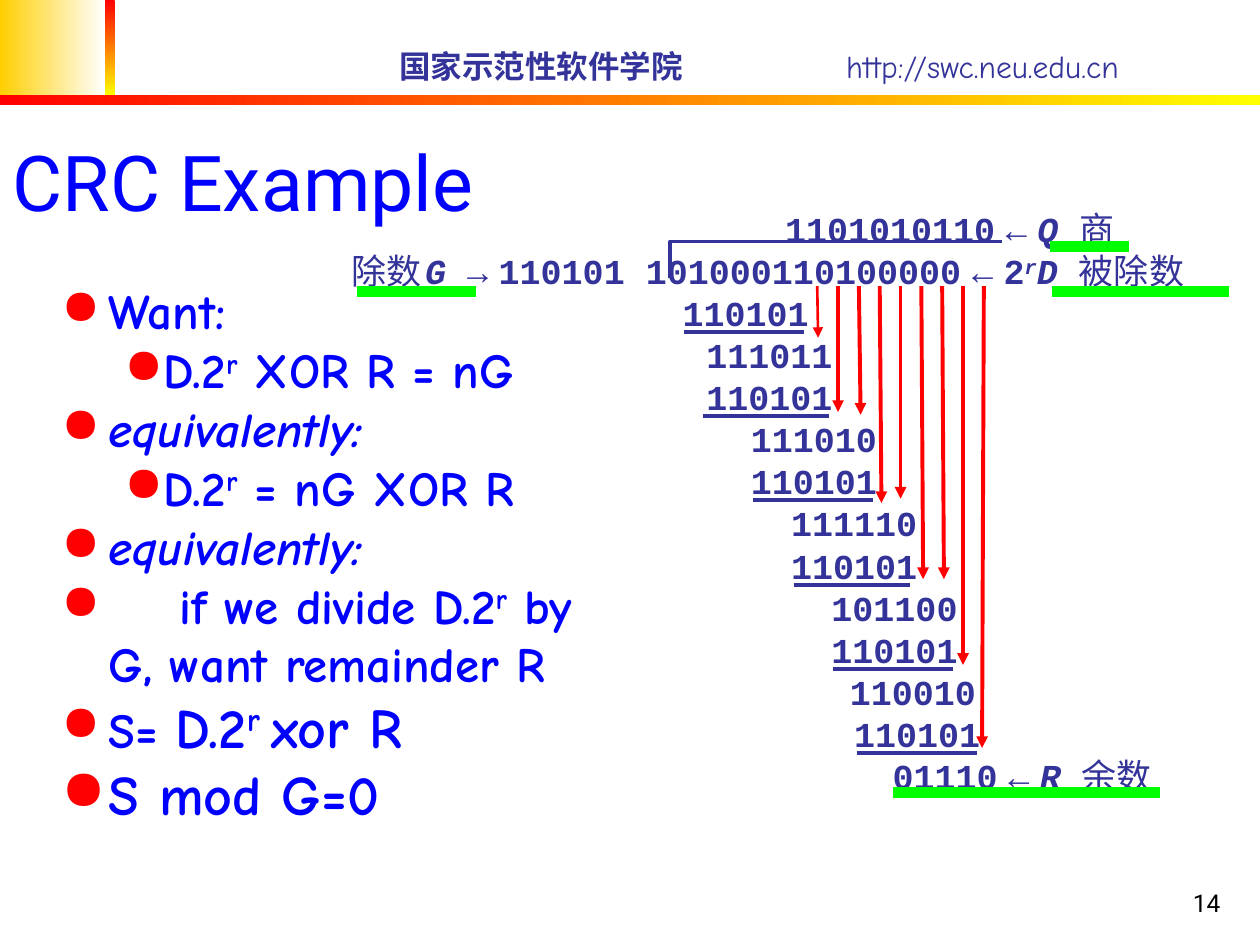
from lxml import etree
from pptx import Presentation
from pptx.dml.color import RGBColor
from pptx.enum import shapes, text
from pptx.oxml import ns
from pptx.util import Pt

NAVY, BLUE, RED, GREEN, YELLOW = "333399", "0000FF", "FF0000", "00FF00", "FFFF00"


def color(hex_value):
    return RGBColor.from_string(hex_value)


def add_runs(paragraph, runs, base):
    """Add (text, changes) runs, each formatted with base plus its changes."""
    for words, changes in runs:
        run = paragraph.add_run()
        run.text = words
        style = {**base, **changes}
        run.font.color.rgb = color(style.pop("color"))
        if style.pop("raised", False):
            run._r.get_or_add_rPr().set("baseline", "30000")
        for name, value in style.items():
            setattr(run.font, name, value)


presentation = Presentation()
presentation.slide_width, presentation.slide_height = Pt(720), Pt(540)
slide = presentation.slides.add_slide(presentation.slide_layouts[5])

# Gradient bands of the header
for left, top, width, height, start, end, angle in [
    (0, 0, 60, 55, "FFCF01", "FFFFFF", 0),
    (60, 0, 5.5, 55, RED, YELLOW, 270),
    (0, 54.5, 720, 5.5, RED, YELLOW, 0),
]:
    band = slide.shapes.add_shape(
        shapes.MSO_SHAPE.RECTANGLE, Pt(left), Pt(top), Pt(width), Pt(height))
    band.shadow.inherit = False
    band.line.fill.background()
    band.fill.gradient()
    band.fill.gradient_angle = angle
    for stop, stop_color in zip(band.fill.gradient_stops, (start, end)):
        stop.color.rgb = color(stop_color)

title = slide.shapes.title
title.left, title.top, title.width, title.height = Pt(0), Pt(42.5), Pt(613.5), Pt(90.5)
title.text_frame.vertical_anchor = text.MSO_ANCHOR.BOTTOM
title_paragraph = title.text_frame.paragraphs[0]
title_paragraph.alignment = text.PP_ALIGN.LEFT
add_runs(title_paragraph, [("CRC Example", {})],
         {"size": Pt(44), "name": "Roboto", "color": BLUE})

# Long division: (divisor indent, underline from, underline to, remainder, its indent)
steps = [
    (193.5, 391, 459.5, "111011", 207),
    (207, 402, 474, "111010", 232.5),
    (232.5, 430.5, 499, "111110", 255.5),
    (255.5, 453.5, 520, "101100", 278.5),
    (278.5, 476, 544.5, "110010", 289),
    (291.5, 489.5, 558, "01110", 313.5),
]
small, italic, raised = {"size": Pt(10)}, {"italic": True}, {"raised": True}
plain = {"bold": False}
left_arrow = [(" ", small), ("←", {}), (" ", small)]
division = [
    ([("1101010110", {}), *left_arrow, ("Q ", italic), ("商", plain)], {"marL": 252}),
    ([("除数", plain), (" ", small), ("G ", italic), ("→", {}), (" ", small),
      ("110101 101000110100000", {}), *left_arrow, ("2", {}),
      ("r", {**italic, **raised}), ("D ", italic), ("被除数", plain)], {"marL": 4}),
]
for divisor_indent, _, _, remainder, remainder_indent in steps:
    division.append(([("110101", {})], {"marL": divisor_indent}))
    division.append(([(remainder, {})], {"marL": remainder_indent}))
division[-1][0].extend([*left_arrow, ("R ", italic), ("余数", plain)])

outer = {"marL": 27, "indent": -27, "bullet": True}
inner = {"marL": 58.5, "indent": -22.5, "bullet": True}
large = {"size": Pt(32)}
points = [
    ([("Want:", {})], outer),
    ([("D.2", {}), ("r", raised), (" XOR R = nG", {})], inner),
    ([("equivalently:", italic)], outer),
    ([("D.2", {}), ("r", raised), (" = nG XOR R", {})], inner),
    ([("equivalently:", italic)], outer),
    ([("\tif we divide D.2", {}), ("r", raised), (" by G, want remainder R", {})],
     {**outer, "tab": 67.5}),
    ([("S= ", {}), ("D.2", large), ("r ", {**large, **raised}), ("xor R", large)], outer),
    ([("S mod G=0", large)], outer),
]

header = {"size": Pt(18), "name": "Comic Neue", "color": NAVY}
top, middle, bottom = text.MSO_ANCHOR.TOP, text.MSO_ANCHOR.MIDDLE, text.MSO_ANCHOR.BOTTOM
left_aligned, right_aligned = text.PP_ALIGN.LEFT, text.PP_ALIGN.RIGHT
for place, anchor, alignment, spacing, base, lines in [
    ((221, 23, 220, 29), middle, left_aligned, None, {**header, "bold": True},
     [([("国家示范性软件学院", {})], {})]),
    ((476.5, 23, 227, 29), middle, left_aligned, None, header,
     [([("http://swc.neu.edu.cn", {})], {})]),
    ((554.5, 492, 150, 36), bottom, right_aligned, None,
     {"size": Pt(14), "name": "Roboto", "color": "000000"}, [([("14", {})], {})]),
    ((189.5, 115, 530.5, 343.5), top, left_aligned, Pt(24.05),
     {"size": Pt(20), "name": "Courier New", "color": NAVY, "bold": True}, division),
    ((28, 157, 338.5, 360), top, left_aligned, None,
     {"size": Pt(28), "name": "Comic Neue", "color": BLUE, "bold": True}, points),
]:
    frame = slide.shapes.add_textbox(*map(Pt, place)).text_frame
    frame.word_wrap = True
    frame.vertical_anchor = anchor
    for number, (runs, layout) in enumerate(lines):
        paragraph = frame.add_paragraph() if number else frame.paragraphs[0]
        paragraph.alignment = alignment
        paragraph.line_spacing = spacing
        properties = paragraph._p.get_or_add_pPr()
        for name in ("marL", "indent"):
            properties.set(name, str(Pt(layout.get(name, 0))))
        if "bullet" in layout:
            bullet_color = etree.SubElement(properties, ns.qn("a:buClr"))
            etree.SubElement(bullet_color, ns.qn("a:srgbClr"), val=RED)
            etree.SubElement(properties, ns.qn("a:buChar"), char="●")
        if "tab" in layout:
            tabs = etree.SubElement(properties, ns.qn("a:tabLst"))
            etree.SubElement(tabs, ns.qn("a:tab"), pos=str(Pt(layout["tab"])), algn="l")
        add_runs(paragraph, runs, base)

# Division bracket
builder = slide.shapes.build_freeform(Pt(383), Pt(159), scale=1.0)
builder.add_line_segments([(Pt(383), Pt(138)), (Pt(572.5), Pt(138))], close=False)
bracket = builder.convert_to_shape()
bracket.shadow.inherit = False
bracket.fill.background()
bracket.line.color.rgb = color(NAVY)
bracket.line.width = Pt(2.25)

# Bring-down arrows, underlines and green marks: (x1, y1, x2, y2, colour, width)
arrow_ends = [(0.5, 193), (0, 235.5), (1, 237), (1, 287.5), (0, 285),
              (1, 331), (1, 331), (0, 380), (-1, 427.5)]
lines = []
for column, (shift, end_y) in enumerate(arrow_ends):
    x = 467 + 11.9 * column
    lines.append((x, 163.5, x + shift, end_y, RED, 2.25 if column else 1.5))
for row, (_, start_x, end_x, _, _) in enumerate(steps):
    y = 189.5 + 48.2 * row
    lines.append((start_x, y, end_x, y, NAVY, 2.25))
for start_x, end_x, y in [(510.5, 663, 453), (601, 702.5, 166.5),
                          (204, 272, 166.5), (600, 645, 141)]:
    lines.append((start_x, y, end_x, y, GREEN, 6))

for x1, y1, x2, y2, line_color, width in lines:
    connector = slide.shapes.add_connector(
        shapes.MSO_CONNECTOR.STRAIGHT, Pt(x1), Pt(y1), Pt(x2), Pt(y2))
    connector.line.color.rgb = color(line_color)
    connector.line.width = Pt(width)
    if line_color == RED:
        etree.SubElement(connector.line._get_or_add_ln(), ns.qn("a:tailEnd"), type="triangle")
    etree.SubElement(connector._element.spPr, ns.qn("a:effectLst"))

presentation.save("out.pptx")
